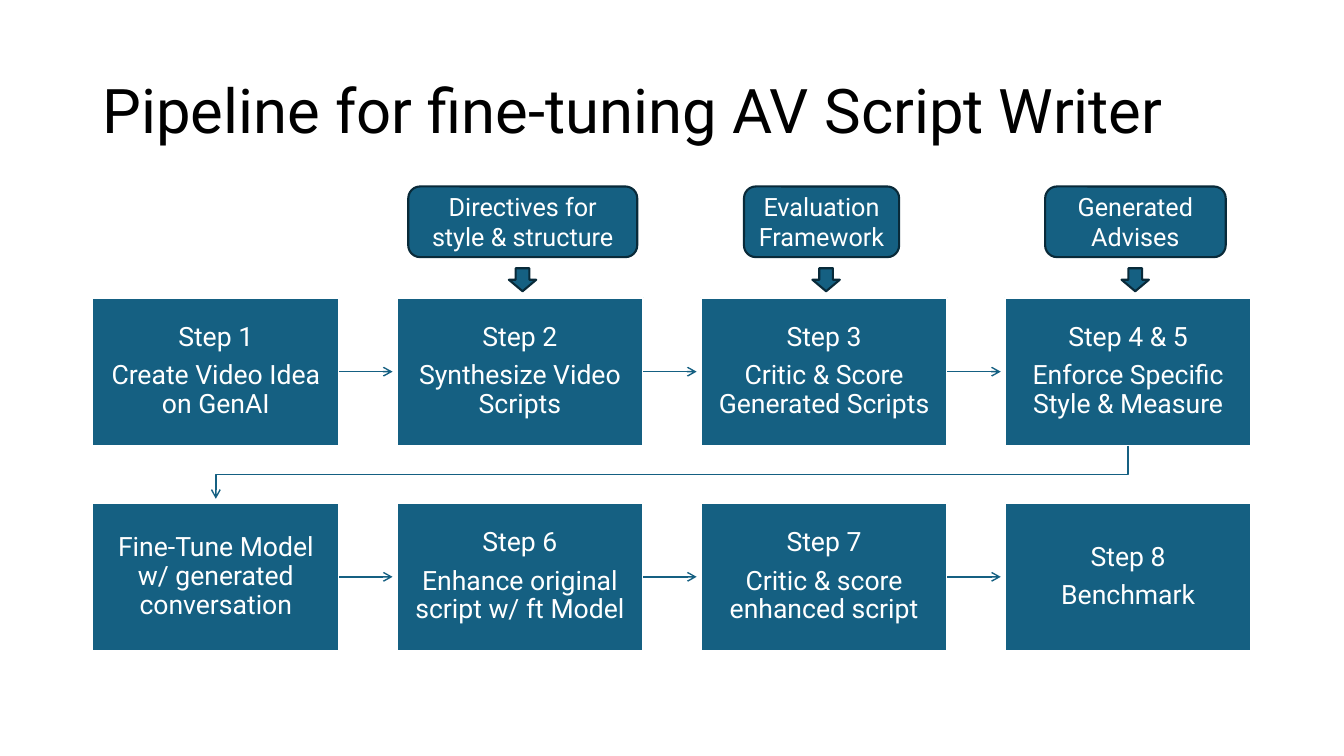
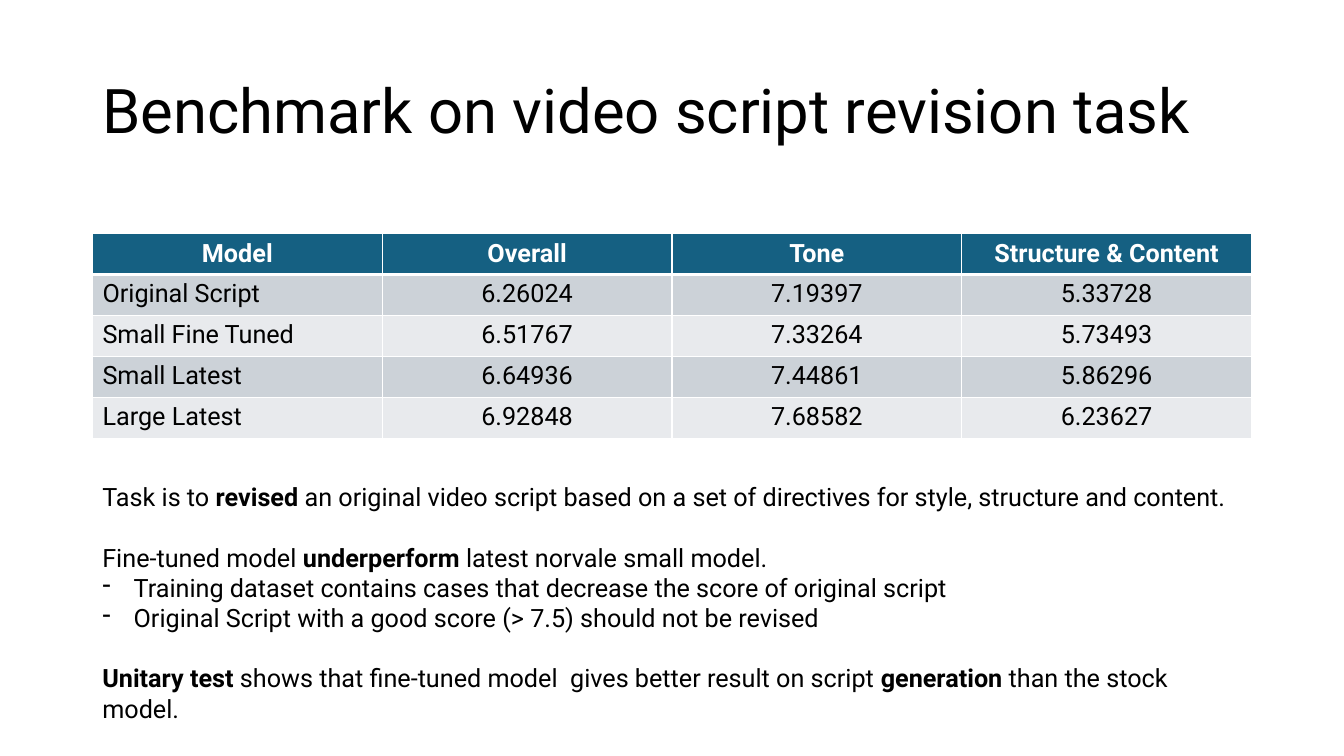
from dataclasses import dataclass
from typing import Any

from lxml import etree
from pptx import Presentation
from pptx.dml.color import RGBColor
from pptx.enum.shapes import MSO_CONNECTOR, MSO_SHAPE
from pptx.enum.text import MSO_ANCHOR, MSO_AUTO_SIZE, PP_ALIGN
from pptx.oxml.ns import qn
from pptx.util import Cm, Pt

BLUE = RGBColor(0x15, 0x60, 0x82)
NAVY = RGBColor(0x09, 0x2A, 0x39)
WHITE = RGBColor(0xFF, 0xFF, 0xFF)
BLACK = RGBColor(0x00, 0x00, 0x00)
DARK_BAND = RGBColor(0xCC, 0xD2, 0xD8)
LIGHT_BAND = RGBColor(0xE8, 0xEA, 0xED)

RECTANGLE = MSO_SHAPE.RECTANGLE
ROUNDED = MSO_SHAPE.ROUNDED_RECTANGLE
DOWN_ARROW = MSO_SHAPE.DOWN_ARROW
STRAIGHT = MSO_CONNECTOR.STRAIGHT
MIDDLE = MSO_ANCHOR.MIDDLE
GROW = MSO_AUTO_SIZE.SHAPE_TO_FIT_TEXT
LEFT = PP_ALIGN.LEFT
CENTER = PP_ALIGN.CENTER
RIGHT_SIDE = 3

FONT = "Roboto"
MARGIN = 2.33
CONTENT_WIDTH = 29.21
COLUMNS = 4
STEP_WIDTH, STEP_HEIGHT = 6.22, 3.73
STEP_TOP, ROW_PITCH = 7.5, 5.17
COLUMN_GAP = (CONTENT_WIDTH - COLUMNS * STEP_WIDTH) / (COLUMNS - 1)
ARROW_CLEARANCE = 0.1
ELBOW_DROP = 0.73
CALLOUT_TOP, CALLOUT_HEIGHT = 4.7, 1.78
POINTER_TOP, POINTER_WIDTH, POINTER_HEIGHT = 6.76, 0.69, 0.58
TABLE_TOP, TABLE_ROW = 5.89, 1.03

STEP_FRAME = {"word_wrap": True, "vertical_anchor": MIDDLE, "margin_left": Cm(0.38),
              "margin_right": Cm(0.38), "margin_top": Cm(0.38), "margin_bottom": Cm(0.38)}
MIDDLE_FRAME = {"word_wrap": True, "vertical_anchor": MIDDLE}
BODY_FRAME = {"word_wrap": True, "auto_size": GROW}
TITLE_PARAGRAPH = {"alignment": LEFT, "line_spacing": 0.9}
STEP_PARAGRAPH = {"alignment": CENTER, "line_spacing": 0.9, "space_after": Pt(6.7)}
CENTERED = {"alignment": CENTER}


@dataclass(frozen=True)
class Callout:
    left: float
    width: float
    pointer_center: float
    lines: tuple[str, ...]


@dataclass(frozen=True)
class Note:
    runs: tuple[tuple[str, bool], ...]
    space_after: float = 0
    dashed: bool = False


STEPS = (
    (("Step 1", "Create Video Idea on GenAI"),
     ("Step 2", "Synthesize Video Scripts"),
     ("Step 3", "Critic & Score Generated Scripts"),
     ("Step 4 & 5", "Enforce Specific Style & Measure")),
    (("Fine-Tune Model w/ generated conversation",),
     ("Step 6", "Enhance original script w/ ft Model"),
     ("Step 7", "Critic & score enhanced script"),
     ("Step 8", "Benchmark")),
)
CALLOUTS = (
    Callout(18.75, 3.91, 20.82, ("Evaluation", "Framework")),
    Callout(10.29, 5.77, 13.17, ("Directives for style & structure",)),
    Callout(26.34, 4.55, 28.61, ("Generated Advises",)),
)
SCORES = (
    ("Model", "Overall", "Tone", "Structure & Content"),
    ("Original Script", "6.26024", "7.19397", "5.33728"),
    ("Small Fine Tuned", "6.51767", "7.33264", "5.73493"),
    ("Small Latest", "6.64936", "7.44861", "5.86296"),
    ("Large Latest", "6.92848", "7.68582", "6.23627"),
)
NOTES = (
    Note((("Task is to ", False), ("revised", True),
          (" an original video script based on a set of directives for style, "
           "structure and content.", False)), 21.5),
    Note((("Fine-tuned model ", False), ("underperform ", True),
          ("latest norvale small model.", False))),
    Note((("Training dataset contains cases that decrease the score of original script",
           False),), dashed=True),
    Note((("Original Script with a good score (> 7.5) should not be revised", False),),
         21.5, True),
    Note((("Unitary test ", True),
          ("shows that fine-tuned model  gives better result on script ", False),
          ("generation ", True), ("than the stock model.", False))),
)


def apply_format(target: Any, values: dict[str, Any]) -> None:
    for name, value in values.items():
        setattr(target, name, value)


def add_run(paragraph: Any, text: str, size: float, color: RGBColor, bold: bool = False) -> None:
    run = paragraph.add_run()
    run.text = text
    apply_format(run.font, {"name": FONT, "size": Pt(size), "bold": bold})
    run.font.color.rgb = color


def next_paragraph(frame: Any, index: int) -> Any:
    return frame.add_paragraph() if index else frame.paragraphs[0]


def write_lines(frame: Any, lines: tuple[str, ...], size: float, color: RGBColor,
                paragraph_format: dict[str, Any], bold: bool = False) -> None:
    for index, line in enumerate(lines):
        paragraph = next_paragraph(frame, index)
        apply_format(paragraph, paragraph_format)
        add_run(paragraph, line, size, color, bold)


def add_box(slide: Any, kind: Any, left: float, top: float, width: float, height: float,
            outline: RGBColor) -> Any:
    shape = slide.shapes.add_shape(kind, Cm(left), Cm(top), Cm(width), Cm(height))
    shape.shadow.inherit = False
    shape.fill.solid()
    shape.fill.fore_color.rgb = BLUE
    shape.line.color.rgb = outline
    shape.line.width = Pt(1.5)
    return shape


def style_arrow(line: Any) -> None:
    line.color.rgb = BLUE
    line.width = Pt(1)
    etree.SubElement(line._get_or_add_ln(), qn("a:tailEnd"), type="arrow")


def add_title(slide: Any, text: str) -> None:
    box = slide.shapes.add_textbox(Cm(MARGIN), Cm(1.02), Cm(CONTENT_WIDTH), Cm(3.68))
    apply_format(box.text_frame, MIDDLE_FRAME)
    write_lines(box.text_frame, (text,), 44, BLACK, TITLE_PARAGRAPH)


def column_left(column: int) -> float:
    return MARGIN + column * (STEP_WIDTH + COLUMN_GAP)


def add_step(slide: Any, row: int, column: int, lines: tuple[str, ...]) -> None:
    left, top = column_left(column), STEP_TOP + row * ROW_PITCH
    box = add_box(slide, RECTANGLE, left, top, STEP_WIDTH, STEP_HEIGHT, WHITE)
    apply_format(box.text_frame, STEP_FRAME)
    write_lines(box.text_frame, lines, 19, WHITE, STEP_PARAGRAPH)
    if column < COLUMNS - 1:
        middle = Cm(top + STEP_HEIGHT / 2)
        arrow = slide.shapes.add_connector(
            STRAIGHT, Cm(left + STEP_WIDTH), middle,
            Cm(column_left(column + 1) - ARROW_CLEARANCE), middle)
        arrow.begin_connect(box, RIGHT_SIDE)
        style_arrow(arrow.line)
        etree.SubElement(arrow._element.spPr, qn("a:effectLst"))


def add_row_link(slide: Any) -> None:
    start = Cm(column_left(COLUMNS - 1) + STEP_WIDTH / 2)
    end = Cm(column_left(0) + STEP_WIDTH / 2)
    bottom = STEP_TOP + STEP_HEIGHT
    bend = Cm(bottom + ELBOW_DROP)
    builder = slide.shapes.build_freeform(start, Cm(bottom))
    tip = Cm(STEP_TOP + ROW_PITCH - ARROW_CLEARANCE)
    builder.add_line_segments([(start, bend), (end, bend), (end, tip)], close=False)
    link = builder.convert_to_shape()
    link.shadow.inherit = False
    link.fill.background()
    style_arrow(link.line)


def add_callout(slide: Any, callout: Callout) -> None:
    box = add_box(slide, ROUNDED, callout.left, CALLOUT_TOP, callout.width, CALLOUT_HEIGHT, NAVY)
    apply_format(box.text_frame, MIDDLE_FRAME)
    write_lines(box.text_frame, callout.lines, 18, WHITE, CENTERED)
    add_box(slide, DOWN_ARROW, callout.pointer_center - POINTER_WIDTH / 2, POINTER_TOP,
            POINTER_WIDTH, POINTER_HEIGHT, NAVY)


def set_borders(cell: Any, bottom: float, top: float) -> None:
    properties = cell._tc.get_or_add_tcPr()
    widths = {"a:lnL": 1, "a:lnR": 1, "a:lnT": top, "a:lnB": bottom}
    for position, (tag, width) in enumerate(widths.items()):
        border = etree.Element(qn(tag), w=str(Pt(width)))
        fill = etree.SubElement(border, qn("a:solidFill"))
        etree.SubElement(fill, qn("a:srgbClr"), val=str(WHITE))
        properties.insert(position, border)


def add_score_table(slide: Any) -> None:
    table = slide.shapes.add_table(len(SCORES), COLUMNS, Cm(MARGIN), Cm(TABLE_TOP),
                                   Cm(CONTENT_WIDTH), Cm(TABLE_ROW * len(SCORES))).table
    for row, values in enumerate(SCORES):
        header = row == 0
        band = BLUE if header else DARK_BAND if row % 2 else LIGHT_BAND
        for column, value in enumerate(values):
            cell = table.cell(row, column)
            cell.fill.solid()
            cell.fill.fore_color.rgb = band
            set_borders(cell, 3 if header else 1, 3 if row == 1 else 1)
            alignment = CENTER if header or column else LEFT
            write_lines(cell.text_frame, (value,), 18, WHITE if header else BLACK,
                        {"alignment": alignment}, header)


def add_notes_text(slide: Any) -> None:
    box = slide.shapes.add_textbox(Cm(MARGIN), Cm(12.01), Cm(CONTENT_WIDTH), Cm(5.64))
    apply_format(box.text_frame, BODY_FRAME)
    for index, note in enumerate(NOTES):
        paragraph = next_paragraph(box.text_frame, index)
        paragraph.space_after = Pt(note.space_after)
        if note.dashed:
            properties = paragraph._p.get_or_add_pPr()
            properties.set("marL", str(Cm(0.79)))
            properties.set("indent", str(-Cm(0.79)))
            etree.SubElement(properties, qn("a:buChar"), char="-")
        for text, bold in note.runs:
            add_run(paragraph, text, 18, BLACK, bold)


def add_titled_slide(presentation: Any, title: str) -> Any:
    slide = presentation.slides.add_slide(presentation.slide_layouts[6])
    add_title(slide, title)
    return slide


def main() -> None:
    presentation = Presentation()
    apply_format(presentation, {"slide_width": Cm(33.87), "slide_height": Cm(19.05)})

    pipeline = add_titled_slide(presentation, "Pipeline for fine-tuning AV Script Writer")
    for row, steps in enumerate(STEPS):
        for column, lines in enumerate(steps):
            add_step(pipeline, row, column, lines)
    add_row_link(pipeline)
    for callout in CALLOUTS:
        add_callout(pipeline, callout)

    benchmark = add_titled_slide(presentation, "Benchmark on video script revision task")
    add_score_table(benchmark)
    add_notes_text(benchmark)

    presentation.save("out.pptx")


if __name__ == "__main__":
    main()
